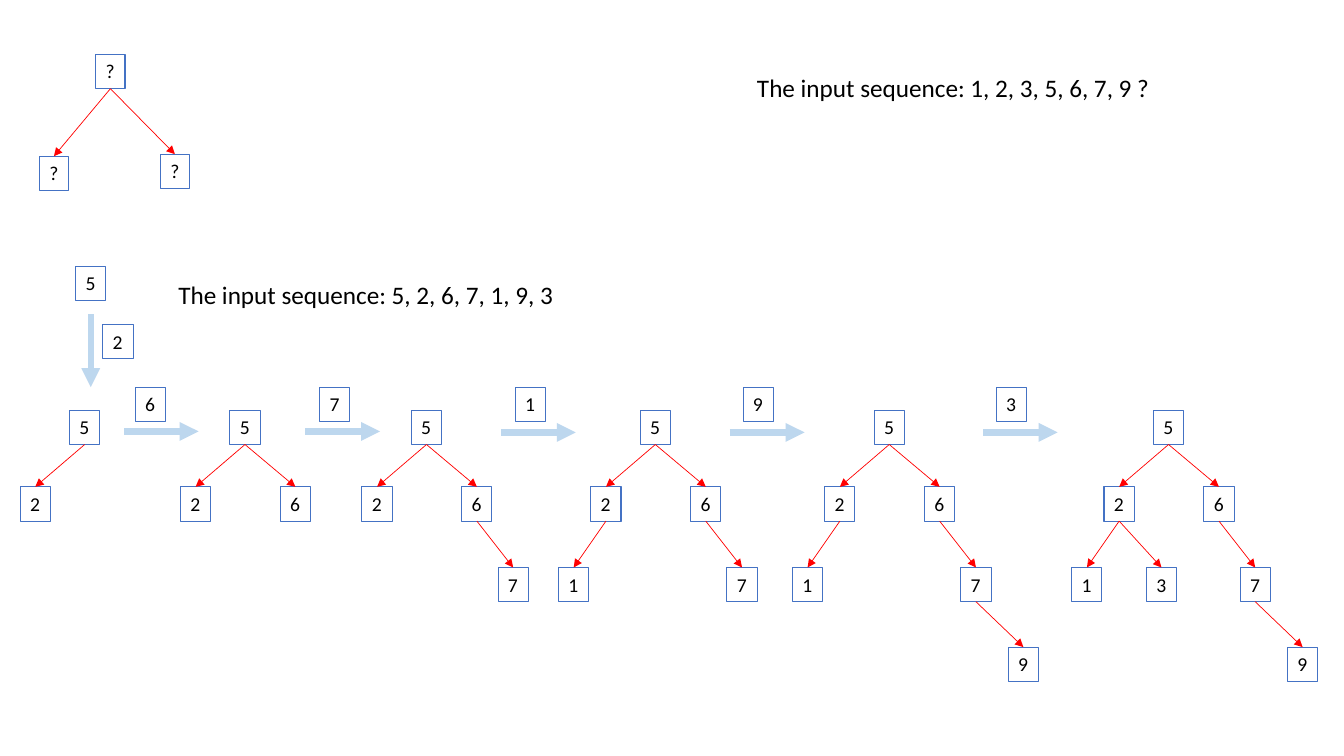
from dataclasses import dataclass

from lxml.etree import SubElement
from pptx import Presentation
from pptx.dml.color import RGBColor
from pptx.enum.shapes import MSO_CONNECTOR, MSO_SHAPE
from pptx.enum.text import MSO_ANCHOR, MSO_AUTO_SIZE, PP_ALIGN
from pptx.oxml.ns import qn
from pptx.util import Inches, Pt


@dataclass(frozen=True)
class Theme:
    font: str = "Calibri"
    text: RGBColor = RGBColor(0x00, 0x00, 0x00)
    border: RGBColor = RGBColor(0x44, 0x72, 0xC4)
    edge: RGBColor = RGBColor(0xFF, 0x00, 0x00)
    step: RGBColor = RGBColor(0xBD, 0xD7, 0xEE)
    key_size: float = 14
    caption_size: float = 18
    border_width: float = 0.75
    edge_width: float = 0.5
    step_width: float = 4.5


class TreeSlide:
    def __init__(self, slide, theme):
        self.s = slide
        self.theme = theme

    def label(self, sp, text, size):
        tf = sp.text_frame
        tf.word_wrap = False
        tf.auto_size = MSO_AUTO_SIZE.SHAPE_TO_FIT_TEXT
        tf.vertical_anchor = MSO_ANCHOR.TOP
        p = tf.paragraphs[0]
        p.alignment = PP_ALIGN.LEFT
        r = p.add_run()
        r.text = text
        r.font.name = self.theme.font
        r.font.size = Pt(size)
        r.font.color.rgb = self.theme.text

    def caption(self, left, top, width, text):
        sp = self.s.shapes.add_textbox(Inches(left), Inches(top), Inches(width), Inches(0.4))
        self.label(sp, text, self.theme.caption_size)

    def node(self, left, top, text, width=0.3):
        sp = self.s.shapes.add_shape(
            MSO_SHAPE.RECTANGLE, Inches(left), Inches(top), Inches(width), Inches(0.34))
        sp.shadow.inherit = False
        sp.fill.background()
        sp.line.color.rgb = self.theme.border
        sp.line.width = Pt(self.theme.border_width)
        self.label(sp, text, self.theme.key_size)
        return sp

    def arrow(self, x1, y1, x2, y2, color, width):
        cxn = self.s.shapes.add_connector(
            MSO_CONNECTOR.STRAIGHT, Inches(x1), Inches(y1), Inches(x2), Inches(y2))
        cxn.line.color.rgb = color
        cxn.line.width = Pt(width)
        props = cxn.element.spPr
        SubElement(props.find(qn("a:ln")), qn("a:tailEnd"), type="triangle")
        SubElement(props, qn("a:effectLst"))
        return cxn

    def step(self, x1, y1, x2, y2):
        self.arrow(x1, y1, x2, y2, self.theme.step, self.theme.step_width)

    def edge(self, parent, child):
        cxn = self.arrow(0, 0, 0, 0, self.theme.edge, self.theme.edge_width)
        cxn.begin_connect(parent, 2)
        cxn.end_connect(child, 0)

    def tree(self, left, top, keys):
        nodes = {}
        for key in keys:
            parent, dx, dy = PLACES[key]
            nodes[key] = self.node(left + dx, top + dy, str(key))
            if parent:
                self.edge(nodes[parent], nodes[key])


SEQUENCE = [5, 2, 6, 7, 1, 9, 3]
PLACES = {
    5: (None, 0, 0),
    2: (5, -0.49, 0.76),
    6: (5, 0.5, 0.76),
    7: (6, 0.86, 1.56),
    1: (2, -0.81, 1.56),
    9: (7, 1.33, 2.35),
    3: (2, -0.07, 1.56),
}
ROOT_LEFTS = [0.69, 2.28, 4.08, 6.35, 8.67, 11.44]
STEPS = [(1.23, 4.28, 1.34), (3.03, 4.28, 3.17), (4.97, 4.29, 5.11),
         (7.24, 4.29, 7.37), (9.75, 4.29, 9.88)]


def main():
    prs = Presentation()
    prs.slide_width = Inches(13.33)
    prs.slide_height = Inches(7.5)
    slide = TreeSlide(prs.slides.add_slide(prs.slide_layouts[6]), Theme())

    root = slide.node(0.95, 0.54, "?", 0.29)
    for left, top in [(0.39, 1.55), (1.59, 1.53)]:
        slide.edge(root, slide.node(left, top, "?", 0.29))
    slide.caption(7.41, 0.67, 4.26, "The input sequence: 1, 2, 3, 5, 6, 7, 9 ?")

    slide.caption(1.67, 2.72, 3.97, "The input sequence: 5, 2, 6, 7, 1, 9, 3")
    slide.node(0.75, 2.64, str(SEQUENCE[0]))
    slide.step(0.9, 3.12, 0.9, 3.84)
    slide.node(1.02, 3.22, str(SEQUENCE[1]))

    for count, left in enumerate(ROOT_LEFTS, start=2):
        slide.tree(left, 4.07, SEQUENCE[:count])
    for key, (left, y, key_left) in zip(SEQUENCE[2:], STEPS):
        slide.step(left, y, left + 0.74, y)
        slide.node(key_left, 3.84, str(key))

    prs.save("out.pptx")


if __name__ == "__main__":
    main()
